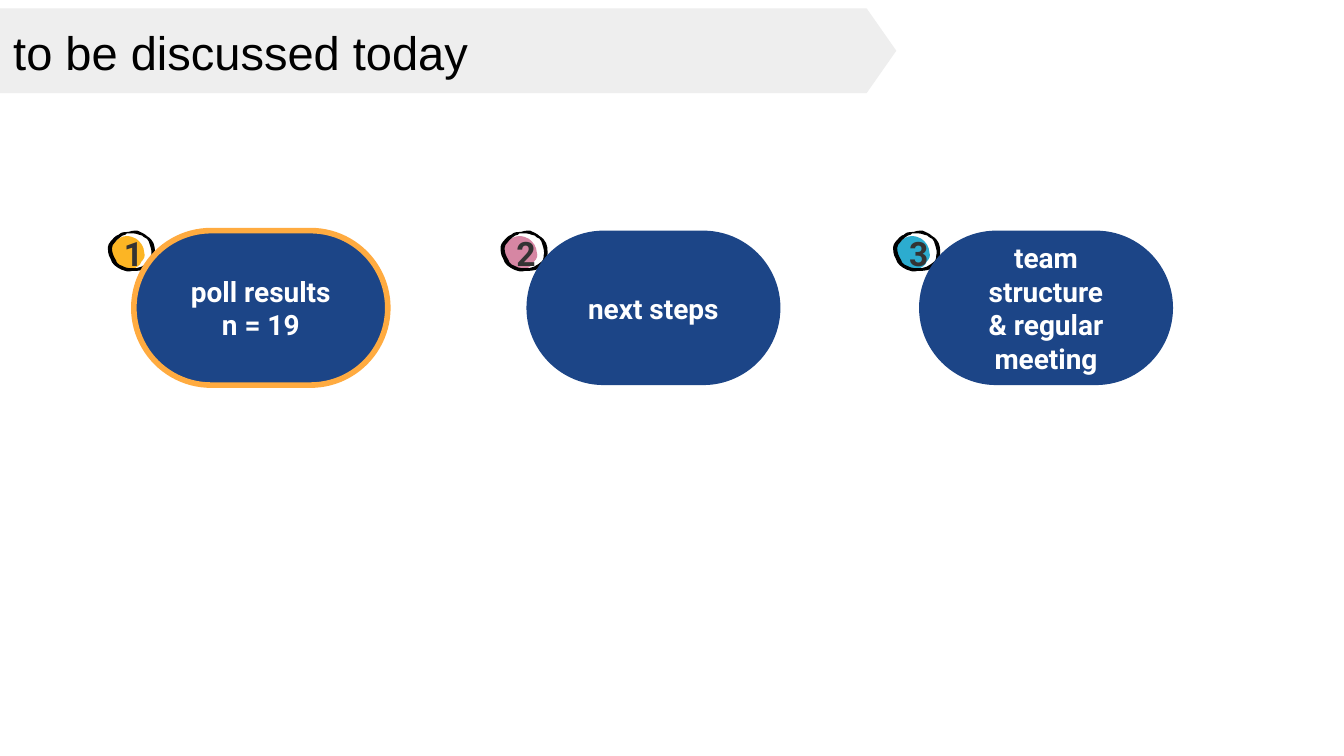
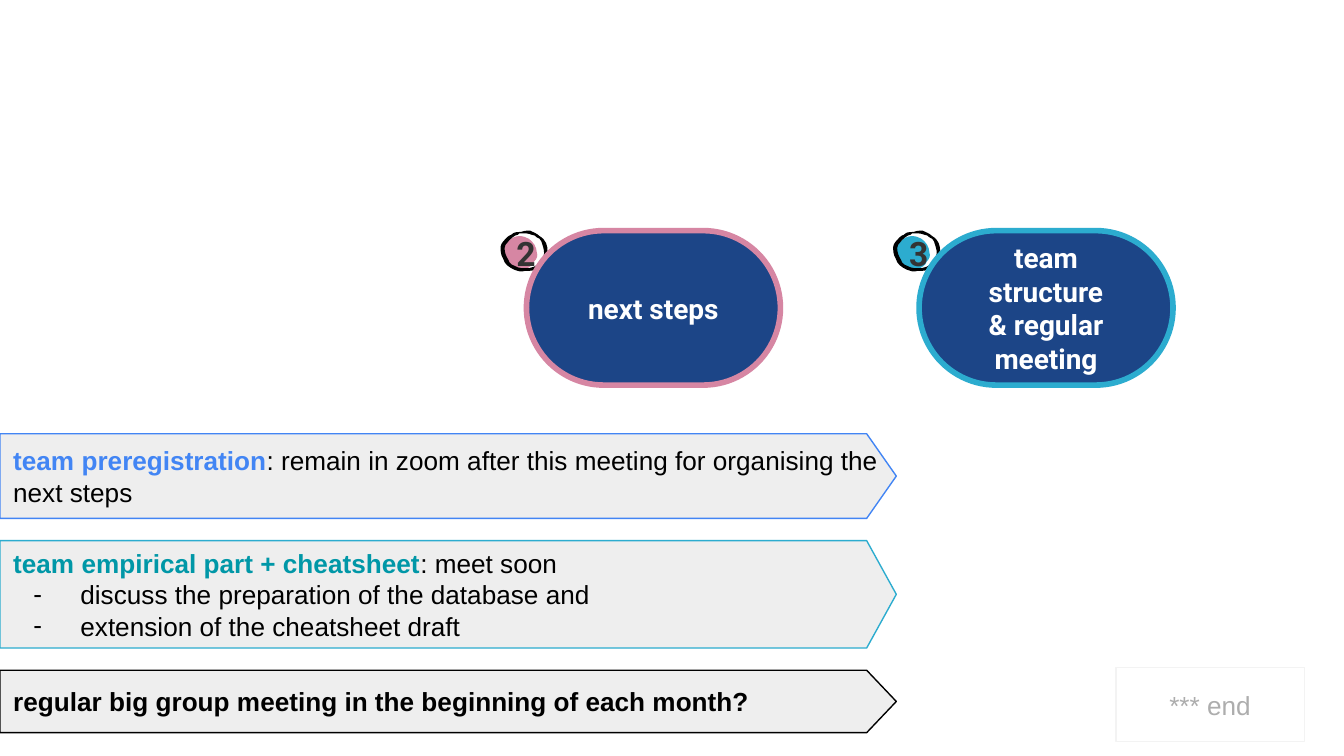
from dataclasses import dataclass
from typing import Optional

from lxml.etree import SubElement
from pptx import Presentation
from pptx.dml.color import RGBColor
from pptx.enum.shapes import MSO_SHAPE
from pptx.enum.text import MSO_ANCHOR, PP_ALIGN
from pptx.oxml.ns import qn
from pptx.util import Cm, Pt

NAVY = RGBColor(0x1C, 0x45, 0x87)
WHITE = RGBColor(0xFF, 0xFF, 0xFF)
BLACK = RGBColor(0x00, 0x00, 0x00)
DARK_GREY = RGBColor(0x33, 0x33, 0x33)
MID_GREY = RGBColor(0xAD, 0xAD, 0xAD)
BAND_GREY = RGBColor(0xEE, 0xEE, 0xEE)
PALE_GREY = RGBColor(0xF3, 0xF3, 0xF3)
YELLOW = RGBColor(0xFC, 0xB5, 0x24)
ORANGE = RGBColor(0xFF, 0xAB, 0x40)
PINK = RGBColor(0xD6, 0x86, 0xA3)
CYAN = RGBColor(0x2C, 0xAC, 0xCF)
TEAL = RGBColor(0x00, 0x97, 0xA7)
BLUE = RGBColor(0x42, 0x85, 0xF4)

HEAD_FONT, BODY_FONT = "Roboto", "Arial"
INSET = Cm(0.25)

# Topic row, in cm
PILL_LEFT, PILL_STEP, PILL_TOP = 2.53, 7.42, 4.36
PILL_W, PILL_H = 4.8, 2.92
BADGE_SHIFT = -0.49

# Arrow bands, in cm
BAND_SHOULDER, BAND_TIP, BAND_GAP = 16.38, 16.94, 0.42
BAND_TOP = 8.2

# Badge curves: a start point, then two control points and an end point per curve,
# in hundredths of an inch from the badge's top left corner
BADGE_UNIT = 2.54 / 100
DOT = [(14, 4), (8, 4), (2, 10), (2, 16), (3, 22), (10, 29), (16, 29),
       (19, 29), (22, 27), (24, 25), (24, 24), (25, 24), (25, 23),
       (27, 21), (28, 19), (27, 16), (27, 12), (24, 8), (21, 6),
       (19, 5), (17, 4), (14, 4)]
RING_OUTER = [(18, 30), (15, 31), (13, 30), (10, 29), (6, 27), (3, 25), (2, 21),
              (0, 18), (0, 15), (0, 12), (0, 11), (1, 9), (2, 8),
              (4, 6), (5, 4), (8, 3), (10, 1), (12, 1), (14, 1),
              (15, 1), (15, 1), (15, 1), (17, 0), (19, 0), (22, 0),
              (24, 1), (27, 2), (29, 4), (29, 4), (29, 4), (29, 4),
              (34, 7), (35, 11), (35, 16), (35, 18), (35, 20), (34, 22),
              (34, 24), (33, 26), (31, 27), (28, 29), (24, 30), (20, 30),
              (20, 30), (19, 30), (18, 30)]
RING_INNER = [(18, 28), (19, 28), (20, 28), (21, 28), (24, 27), (26, 27), (28, 25),
              (30, 24), (32, 22), (32, 20), (32, 20), (32, 20), (32, 19),
              (33, 16), (32, 13), (31, 10), (31, 9), (30, 7), (29, 6),
              (28, 6), (28, 5), (27, 5), (26, 4), (25, 3), (23, 3),
              (21, 2), (18, 2), (16, 2), (16, 2), (15, 2), (14, 2),
              (14, 2), (14, 2), (13, 3), (12, 3), (10, 4), (9, 5),
              (7, 6), (6, 8), (5, 9), (4, 10), (3, 11), (3, 13),
              (3, 16), (4, 19), (6, 22), (6, 23), (7, 24), (7, 24),
              (8, 25), (9, 26), (10, 26), (12, 27), (14, 28), (16, 28),
              (16, 28), (17, 28), (18, 28)]


@dataclass(frozen=True)
class Topic:
    number: int
    lines: tuple[str, ...]
    dot: RGBColor
    outline: RGBColor


@dataclass(frozen=True)
class Band:
    height: float
    outline: RGBColor
    lead: str
    lead_color: RGBColor
    rest: str = ""
    bullets: tuple[str, ...] = ()


TOPICS = [
    Topic(1, ("poll results\vn = 19",), YELLOW, ORANGE),
    Topic(2, ("next steps",), PINK, PINK),
    Topic(3, ("team structure", "& regular meeting"), CYAN, CYAN),
]
BANDS = [
    Band(1.6, BLUE, "team preregistration", BLUE,
         ": remain in zoom after this meeting for organising the next steps"),
    Band(2.03, CYAN, "team empirical part + cheatsheet", TEAL, ": meet soon",
         ("discuss the preparation of the database and",
          "extension of the cheatsheet draft")),
    Band(1.18, BLACK, "regular big group meeting in the beginning of each month?", BLACK),
]


def paint(sp, fill: RGBColor, line: Optional[RGBColor] = None, width: float = 0.75) -> None:
    sp.shadow.inherit = False
    sp.fill.solid()
    sp.fill.fore_color.rgb = fill
    if line is None:
        sp.line.fill.background()
    else:
        sp.line.color.rgb = line
        sp.line.width = Pt(width)


def setup_frame(sp, anchor=MSO_ANCHOR.MIDDLE):
    tf = sp.text_frame
    tf.word_wrap = True
    tf.vertical_anchor = anchor
    tf.margin_left = tf.margin_right = tf.margin_top = tf.margin_bottom = INSET
    return tf


def style_run(r, font: str, size: float, color: RGBColor, bold: bool = False) -> None:
    r.font.name = font
    r.font.size = Pt(size)
    r.font.color.rgb = color
    r.font.bold = bold


def write(sp, lines: tuple, font: str, size: float, color: RGBColor, bold: bool = False,
          align=PP_ALIGN.CENTER, anchor=MSO_ANCHOR.MIDDLE) -> None:
    tf = setup_frame(sp, anchor)
    tf.text = "\n".join(lines)
    for p in tf.paragraphs:
        p.alignment = align
        for r in p.runs:
            style_run(r, font, size, color, bold)


def add_outline(shapes, contours: list, left: float = 0, top: float = 0, unit: float = 1):
    """Add one freeform made of closed contours; unit is the cm per coordinate step."""
    placed = [[(Cm(left + x * unit), Cm(top + y * unit)) for x, y in c] for c in contours]
    builder = shapes.build_freeform(*placed[0][0])
    builder.add_line_segments(placed[0][1:], close=True)
    for contour in placed[1:]:
        builder.move_to(*contour[0])
        builder.add_line_segments(contour[1:], close=True)
    return builder.convert_to_shape()


def bend(sp) -> None:
    """Turn every three line segments of a freeform into one cubic curve."""
    segments = list(sp.element.iter(qn("a:lnTo")))
    for first, second, third in zip(segments[::3], segments[1::3], segments[2::3]):
        curve = SubElement(first.getparent(), qn("a:cubicBezTo"))
        first.addprevious(curve)
        for segment in (first, second, third):
            curve.append(segment[0])
            segment.getparent().remove(segment)


def add_badge_part(shapes, contours: list, left: float, fill: RGBColor):
    sp = add_outline(shapes, contours, left, PILL_TOP, BADGE_UNIT)
    bend(sp)
    paint(sp, fill)
    return sp


def add_arrow_band(s, top: float, height: float, line: Optional[RGBColor] = None):
    sp = add_outline(s.shapes, [[(BAND_SHOULDER, 0), (0, 0), (0, height),
                                 (BAND_SHOULDER, height), (BAND_TIP, height / 2)]], top=top)
    paint(sp, BAND_GREY, line)
    return sp


def add_topic(s, topic: Topic, highlighted: bool) -> None:
    left = PILL_LEFT + (topic.number - 1) * PILL_STEP
    badge = s.shapes.add_group_shape().shapes
    dot = add_badge_part(badge, [DOT], left + BADGE_SHIFT, topic.dot)
    write(dot, (str(topic.number),), HEAD_FONT, 18, DARK_GREY, True, PP_ALIGN.JUSTIFY)
    add_badge_part(badge, [RING_OUTER, RING_INNER], left + BADGE_SHIFT, BLACK)

    pill = s.shapes.add_shape(MSO_SHAPE.ROUNDED_RECTANGLE, Cm(left), Cm(PILL_TOP),
                              Cm(PILL_W), Cm(PILL_H))
    pill.adjustments[0] = 0.5
    paint(pill, NAVY, topic.outline if highlighted else None, 3)
    write(pill, topic.lines, HEAD_FONT, 15, WHITE, True)


def add_dash(p) -> None:
    pPr = p._p.get_or_add_pPr()
    pPr.set("marL", str(Cm(1.27)))
    pPr.set("indent", str(Cm(-0.89)))
    color = SubElement(SubElement(pPr, qn("a:buClr")), qn("a:srgbClr"))
    color.set("val", str(BLACK))
    SubElement(pPr, qn("a:buFont")).set("typeface", BODY_FONT)
    SubElement(pPr, qn("a:buChar")).set("char", "-")


def add_text_band(s, band: Band, top: float) -> None:
    tf = setup_frame(add_arrow_band(s, top, band.height, band.outline))
    p = tf.paragraphs[0]
    p.text = band.lead
    p.alignment = PP_ALIGN.LEFT
    style_run(p.runs[0], BODY_FONT, 14, band.lead_color, True)
    if band.rest:
        r = p.add_run()
        r.text = band.rest
        style_run(r, BODY_FONT, 14, BLACK)
    for bullet in band.bullets:
        p = tf.add_paragraph()
        p.text = bullet
        p.alignment = PP_ALIGN.LEFT
        style_run(p.runs[0], BODY_FONT, 14, BLACK)
        add_dash(p)


def add_title(s, text: str) -> None:
    top, height = 0.16, 1.6
    title = s.shapes.title
    title.left, title.top, title.width, title.height = Cm(0), Cm(top), Cm(13.97), Cm(height)
    write(title, (text,), BODY_FONT, 25.2, BLACK, align=PP_ALIGN.LEFT,
          anchor=MSO_ANCHOR.BOTTOM)
    title.element.addprevious(add_arrow_band(s, top, height).element)


def build_agenda(prs) -> None:
    s = prs.slides.add_slide(prs.slide_layouts[5])
    add_title(s, "to be discussed today")
    for topic in TOPICS:
        add_topic(s, topic, highlighted=topic.number == 1)


def build_next_steps(prs) -> None:
    s = prs.slides.add_slide(prs.slide_layouts[6])
    for topic in TOPICS[1:]:
        add_topic(s, topic, highlighted=True)
    top = BAND_TOP
    for band in BANDS:
        add_text_band(s, band, top)
        top += band.height + BAND_GAP
    end = s.shapes.add_shape(MSO_SHAPE.RECTANGLE, Cm(21.09), Cm(12.62), Cm(3.56), Cm(1.4))
    paint(end, WHITE, PALE_GREY)
    write(end, ("*** end",), BODY_FONT, 14, MID_GREY)


def main() -> None:
    prs = Presentation()
    prs.slide_width, prs.slide_height = Cm(25.4), Cm(14.29)
    build_agenda(prs)
    build_next_steps(prs)
    prs.save("out.pptx")


if __name__ == "__main__":
    main()
